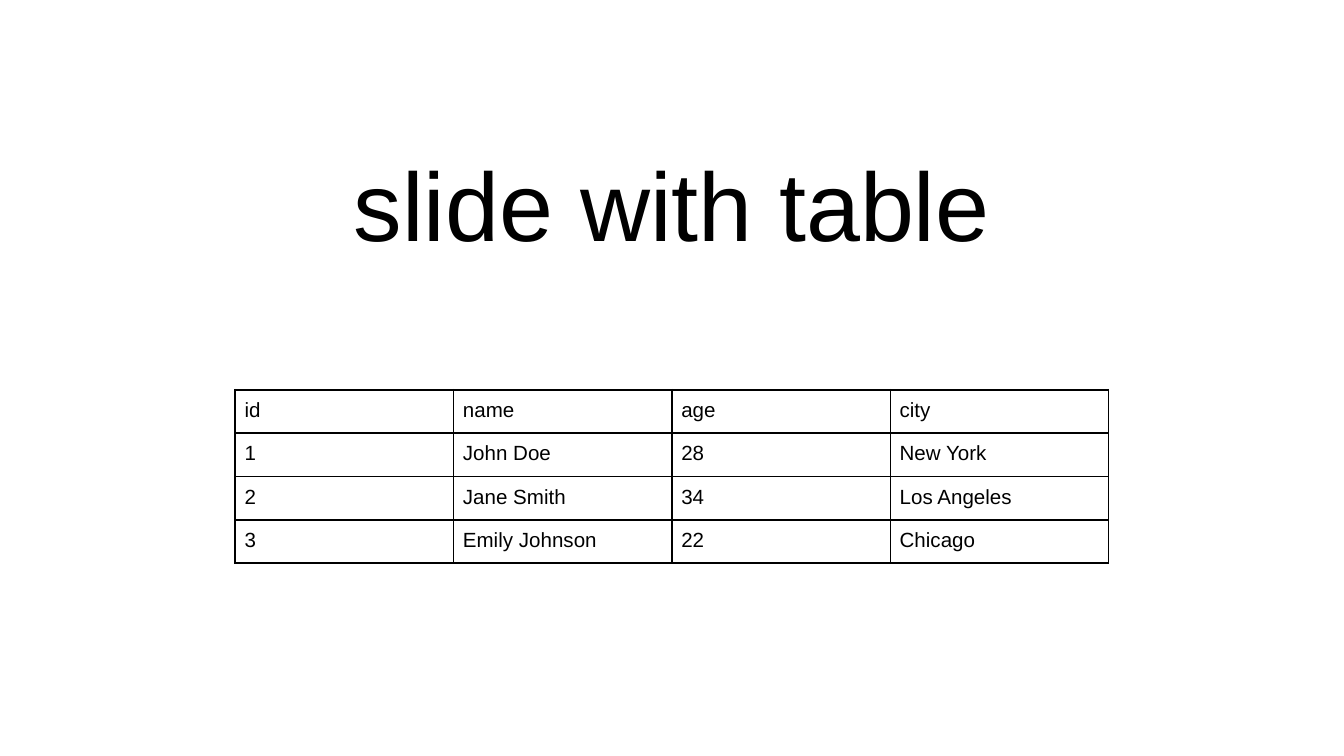
from dataclasses import dataclass

from lxml import etree
from pptx import Presentation
from pptx.dml.color import RGBColor
from pptx.enum.text import MSO_ANCHOR, PP_ALIGN
from pptx.oxml.ns import qn
from pptx.util import Inches, Length, Pt

BOTTOM = MSO_ANCHOR.BOTTOM
CENTER = PP_ALIGN.CENTER
LEFT = PP_ALIGN.LEFT
BLANK_LAYOUT = 6
SLIDE_WIDTH = Inches(10)
SLIDE_HEIGHT = SLIDE_WIDTH * 9 // 16


@dataclass(frozen=True)
class Theme:
    font: str = "Arial"
    ink: RGBColor = RGBColor(0, 0, 0)
    paper: RGBColor = RGBColor(255, 255, 255)
    title_size: Length = Pt(52)
    cell_size: Length = Pt(11)
    border: Length = Pt(1)
    title_inset: Length = Inches(0.1)
    cell_inset: Length = Pt(5)


@dataclass(frozen=True)
class Area:
    """Left and width are shares of the slide's width; the rest are inches."""
    left: float
    top: float
    width: float
    height: float

    def box(self) -> tuple[int, int, int, int]:
        return (int(self.left * SLIDE_WIDTH), Inches(self.top),
                int(self.width * SLIDE_WIDTH), Inches(self.height))


@dataclass(frozen=True)
class Person:
    id: str
    name: str
    age: str
    city: str

    def fields(self) -> tuple[str, ...]:
        return self.id, self.name, self.age, self.city


THEME = Theme()
TITLE_AREA = Area(0.034, 0.93, 0.932, 1.11)
# The rows start almost flat and grow to fit their text.
PEOPLE_AREA = Area(0.175, 2.9, 0.65, 0.04)
HEADINGS = ("id", "name", "age", "city")
PEOPLE = (
    Person("1", "John Doe", "28", "New York"),
    Person("2", "Jane Smith", "34", "Los Angeles"),
    Person("3", "Emily Johnson", "22", "Chicago"),
)


def set_insets(holder, inset: Length) -> None:
    holder.margin_left = holder.margin_right = inset
    holder.margin_top = holder.margin_bottom = inset


def write(frame, words: str, size: Length, align=LEFT) -> None:
    paragraph = frame.paragraphs[0]
    paragraph.alignment = align
    run = paragraph.add_run()
    run.text = words
    run.font.name = THEME.font
    run.font.size = size
    run.font.color.rgb = THEME.ink


def add_borders(cell) -> None:
    """Rule all four sides; the lines must precede the cell's fill."""
    properties = cell._tc.get_or_add_tcPr()
    for position, side in enumerate(("a:lnL", "a:lnR", "a:lnT", "a:lnB")):
        line = etree.Element(qn(side), w=str(int(THEME.border)))
        fill = etree.SubElement(line, qn("a:solidFill"))
        etree.SubElement(fill, qn("a:srgbClr"), val=str(THEME.ink))
        properties.insert(position, line)


def add_title(slide, words: str) -> None:
    frame = slide.shapes.add_textbox(*TITLE_AREA.box()).text_frame
    frame.word_wrap = True
    frame.vertical_anchor = BOTTOM
    set_insets(frame, THEME.title_inset)
    write(frame, words, THEME.title_size, CENTER)


def add_people(slide) -> None:
    rows = (HEADINGS, *(person.fields() for person in PEOPLE))
    table = slide.shapes.add_table(
        len(rows), len(HEADINGS), *PEOPLE_AREA.box()).table
    table.first_row = table.horz_banding = False
    for row, values in enumerate(rows):
        for column, value in enumerate(values):
            cell = table.cell(row, column)
            cell.fill.background()
            set_insets(cell, THEME.cell_inset)
            add_borders(cell)
            write(cell.text_frame, value, THEME.cell_size)


def main() -> None:
    deck = Presentation()
    deck.slide_width, deck.slide_height = SLIDE_WIDTH, SLIDE_HEIGHT
    slide = deck.slides.add_slide(deck.slide_layouts[BLANK_LAYOUT])
    slide.background.fill.solid()
    slide.background.fill.fore_color.rgb = THEME.paper
    add_title(slide, "slide with table")
    add_people(slide)
    deck.save("out.pptx")


if __name__ == "__main__":
    main()
